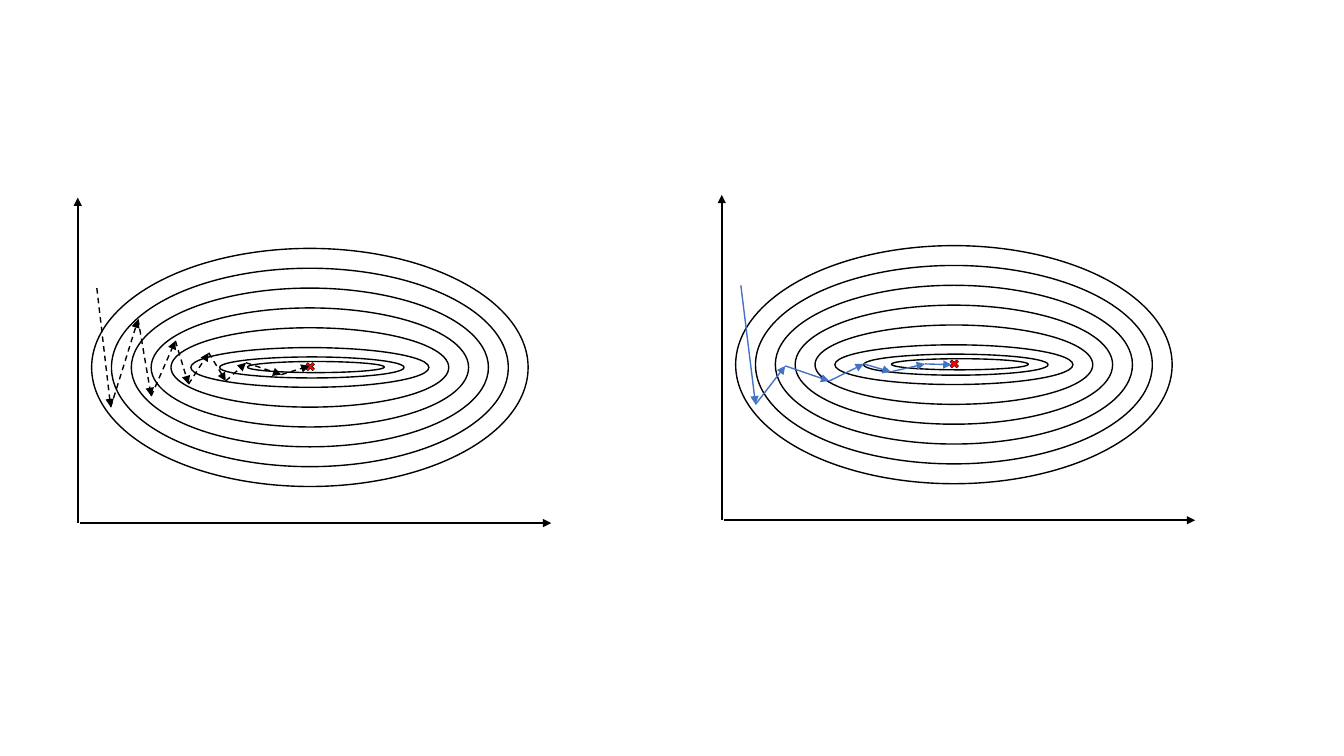
from itertools import pairwise

from lxml.etree import SubElement
from pptx import Presentation
from pptx.dml.color import RGBColor
from pptx.enum.dml import MSO_LINE
from pptx.enum.shapes import MSO_CONNECTOR, MSO_SHAPE
from pptx.oxml.ns import qn
from pptx.util import Cm, Pt

COLORS = {"ink": "000000", "blue": "4472C4", "red": "FF0000"}

# Offsets and sizes in cm, relative to the centre of each plot
CONTOURS = [(0, 0, 5 + n, n) for n in range(6, 0, -1)]
CONTOURS += [(0.05, 0, 4.65, 0.53), (0.15, -0.01, 3.45, 0.28)]
MINIMUM = (0.01, -0.02, 0.33, 0.3)
AXES = [((-5.8, 3.92), (6.08, 3.92)), ((-5.85, 3.92), (-5.85, -4.28))]

PLOTS = [
    {
        "center": (7.81, 9.26),
        "line": {"color": "ink", "width": Pt(1), "dash_style": MSO_LINE.DASH},
        "steps": [(2.44, 7.26), (2.79, 10.26), (3.48, 8.05), (3.81, 9.98),
                  (4.42, 8.59), (4.75, 9.68), (5.26, 8.89), (5.69, 9.6),
                  (6.2, 9.14), (7.09, 9.44), (7.8, 9.22)],
    },
    {
        "center": (24.04, 9.19),
        "line": {"color": "blue", "width": Pt(1)},
        "steps": [(18.67, 7.19), (19.04, 10.19), (19.79, 9.22), (20.9, 9.6),
                  (21.77, 9.17), (22.45, 9.37), (23.31, 9.17), (23.98, 9.19)],
    },
]


def set_line(sp, color, **fmt):
    """Colour the outline and apply the other line values."""
    sp.line.color.rgb = RGBColor.from_string(COLORS[color])
    for name, value in fmt.items():
        setattr(sp.line, name, value)


def add_centered(grp, kind, center, box, width, fill=None):
    """Add a preset shape centred at an offset from the plot centre."""
    dx, dy, w, h = box
    x, y = center[0] + dx - w / 2, center[1] + dy - h / 2
    sp = grp.shapes.add_shape(kind, Cm(x), Cm(y), Cm(w), Cm(h))
    sp.shadow.inherit = False
    if fill:
        sp.fill.solid()
        sp.fill.fore_color.rgb = RGBColor.from_string(COLORS[fill])
    else:
        sp.fill.background()
    set_line(sp, "ink", width=width)


def add_arrow(grp, start, end, **fmt):
    """Add a straight arrow that points at its end."""
    sp = grp.shapes.add_connector(
        MSO_CONNECTOR.STRAIGHT, *(Cm(v) for v in (*start, *end)))
    set_line(sp, **fmt)
    SubElement(sp.line._get_or_add_ln(), qn("a:tailEnd"), type="triangle")
    SubElement(sp._element.spPr, qn("a:effectLst"))


def add_plot(s, center, line, steps):
    """Draw contours, minimum, axes and descent steps as one group."""
    grp = s.shapes.add_group_shape()
    for box in CONTOURS:
        add_centered(grp, MSO_SHAPE.OVAL, center, box, Pt(1))
    add_centered(grp, MSO_SHAPE.MATH_MULTIPLY, center, MINIMUM, Pt(0.25), "red")
    for axis in AXES:
        ends = [(center[0] + dx, center[1] + dy) for dx, dy in axis]
        add_arrow(grp, *ends, color="ink", width=Pt(1.5))
    for start, end in pairwise(steps):
        add_arrow(grp, start, end, **line)


def main():
    """Build the slide with both descent plots."""
    prs = Presentation()
    prs.slide_width, prs.slide_height = Cm(33.87), Cm(19.05)
    s = prs.slides.add_slide(prs.slide_layouts[6])
    for plot in PLOTS:
        add_plot(s, **plot)
    prs.save("out.pptx")


if __name__ == "__main__":
    main()
